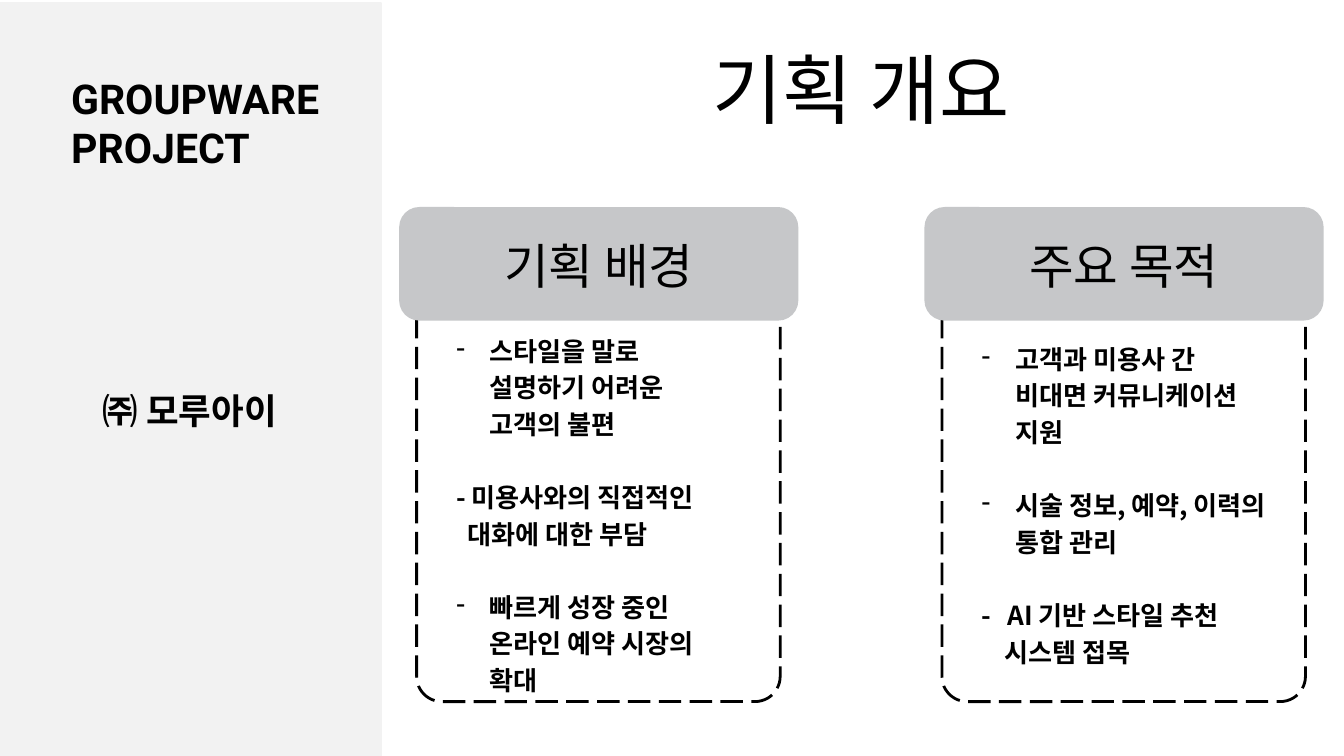
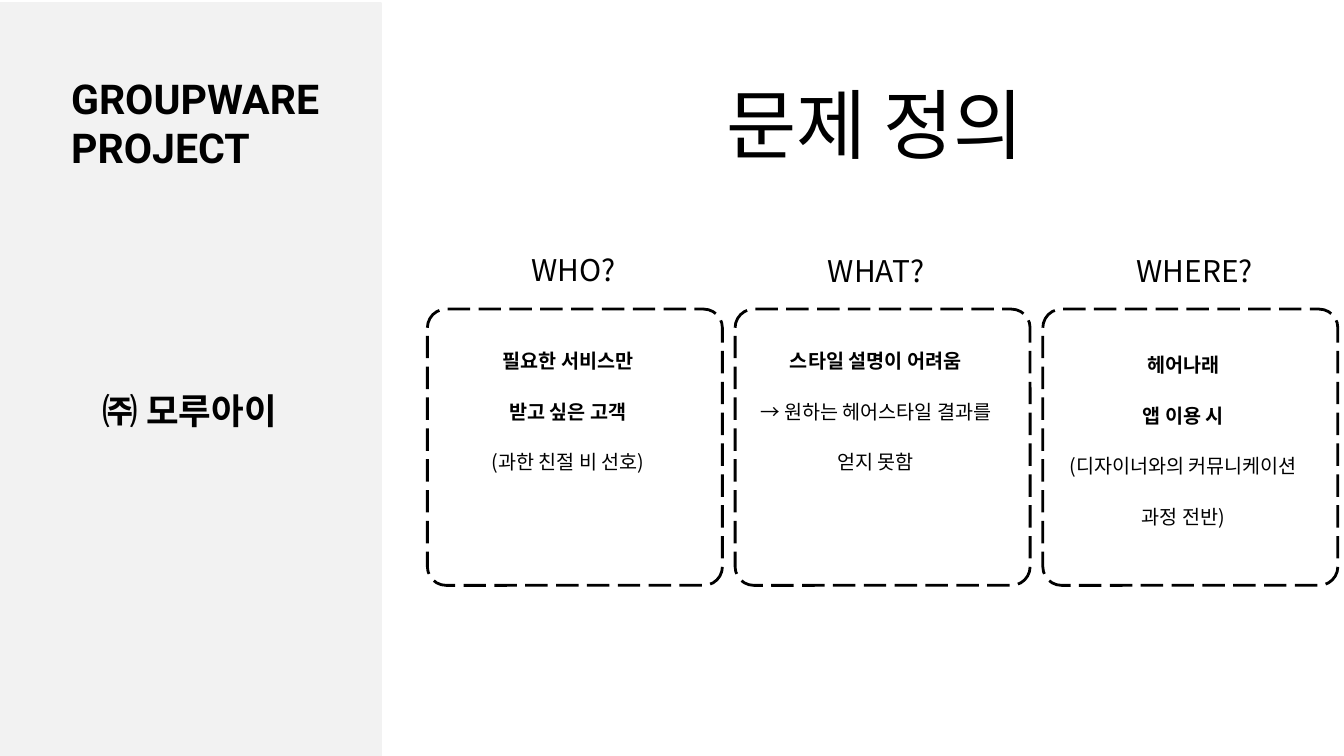
import pptx
import pptx.util
import pptx.dml.color
import pptx.enum.dml
import pptx.enum.shapes
import pptx.enum.text
import pptx.oxml.ns
import lxml.etree

Pt = pptx.util.Pt
Align = pptx.enum.text.PP_ALIGN
Anchor = pptx.enum.text.MSO_ANCHOR
Shape = pptx.enum.shapes.MSO_SHAPE

BLACK, WHITE, PANEL, HEADER = "000000", "FFFFFF", "F2F2F2", "C6C7C9"
BODY_FONT = "Noto Sans CJK KR"


def color(hex_text):
    return pptx.dml.color.RGBColor.from_string(hex_text)


def write(frame, text, size, font=BODY_FONT, bold=False, align=Align.LEFT,
          spacing=None, before=0, margin=0, hang=0, bullet=None):
    """Add one paragraph to a text frame, reusing the first empty one."""
    para = frame.paragraphs[0]
    if para.runs:
        para = frame.add_paragraph()
    para.alignment = align
    if spacing:
        para.line_spacing = spacing
    para.space_before = Pt(before)
    span = para.add_run()
    span.text = text
    span.font.size = Pt(size)
    span.font.bold = bold
    span.font.name = font
    span.font.color.rgb = color(BLACK)
    qn = pptx.oxml.ns.qn
    lxml.etree.SubElement(span.font._element, qn("a:ea")).set("typeface", font)
    properties = para._p.get_or_add_pPr()
    properties.set("marL", str(Pt(margin)))
    properties.set("indent", str(Pt(-hang)))
    if bullet:
        lxml.etree.SubElement(properties, qn("a:buChar")).set("char", bullet)


class Deck:
    """Holds the style and the current slide."""

    def __init__(self):
        self.deck = pptx.Presentation()
        self.deck.slide_width, self.deck.slide_height = Pt(1440), Pt(810)
        self.page = None

    def add_page(self, title, left, top):
        self.page = self.deck.slides.add_slide(self.deck.slide_layouts[6])
        # Side panel with project and company
        self.block(Shape.RECTANGLE, 0, 2.9, 408.2, 807.1, PANEL, line=PANEL, width=2)
        project = self.text_box(69.1, 74.9, 285.1, 104.4, inset=True)
        for word in ("GROUPWARE", "PROJECT"):
            write(project, word, 44, font="Roboto", bold=True, align=Align.JUSTIFY)
        company = self.text_box(103, 381.6, 218.2, 92.2, inset=True)
        company.vertical_anchor = Anchor.MIDDLE
        write(company, "㈜ 모루아이", 38, font="Calibri", bold=True, spacing=1.5)
        # Title
        self.heading(title, left, top, 860.4, 107.3, 81.7, 114.3)

    def block(self, kind, left, top, width_, height, fill, line=None, width=3,
              dashed=False, radius=None):
        shape = self.page.shapes.add_shape(kind, Pt(left), Pt(top), Pt(width_), Pt(height))
        shape.shadow.inherit = False
        shape.fill.solid()
        shape.fill.fore_color.rgb = color(fill)
        if radius:
            shape.adjustments[0] = radius / min(width_, height)
        if line:
            shape.line.color.rgb = color(line)
            shape.line.width = Pt(width)
        else:
            shape.line.fill.background()
        if dashed:
            shape.line.dash_style = pptx.enum.dml.MSO_LINE.LONG_DASH

    def card(self, left, top, width, height, radius):
        self.block(Shape.ROUNDED_RECTANGLE, left, top, width, height, WHITE,
                   line=BLACK, dashed=True, radius=radius)

    def text_box(self, left, top, width, height, inset=False):
        box = self.page.shapes.add_textbox(Pt(left), Pt(top), Pt(width), Pt(height))
        frame = box.text_frame
        frame.word_wrap = True
        if not inset:
            frame.margin_left = frame.margin_right = 0
            frame.margin_top = frame.margin_bottom = 0
            frame.auto_size = pptx.enum.text.MSO_AUTO_SIZE.SHAPE_TO_FIT_TEXT
        return frame

    def heading(self, text, left, top, width, height, size, spacing):
        frame = self.text_box(left, top, width, height)
        write(frame, text, size, align=Align.CENTER, spacing=Pt(spacing))

    def save(self):
        self.deck.save("out.pptx")


def overview(show):
    show.add_page("기획 개요", 492.5, 29.5)
    line = 39.2
    bullet = dict(margin=36, hang=36, bullet="-")
    gap = dict(before=line)
    columns = [
        ("기획 배경", 353.5, 429.8, [
            ("스타일을 말로 설명하기 어려운 고객의 불편", bullet),
            ("- 미용사와의 직접적인", gap),
            ("대화에 대한 부담", dict(margin=12)),
            ("빠르게 성장 중인 온라인 예약 시장의 확대", bullet | gap)]),
        ("주요 목적", 362.2, 350.6, [
            ("고객과 미용사 간 비대면 커뮤니케이션 지원", bullet),
            ("시술 정보, 예약, 이력의 통합 관리", bullet | gap),
            ("-\tAI 기반 스타일 추천", dict(margin=28, hang=28, before=line)),
            ("시스템 접목", dict(margin=25))]),
    ]
    for index, (name, text_top, text_height, points) in enumerate(columns):
        shift = index * 562.8
        show.card(446.4 + shift, 313.9, 389.5, 437.8, radius=27)
        frame = show.text_box(488.9 + shift, text_top, 305.3, text_height)
        for text, layout in points:
            write(frame, text, 28, bold=True, spacing=Pt(line), **layout)
        show.block(Shape.ROUNDED_RECTANGLE, 427.7 + shift, 221.8, 427.7, 121.7,
                   HEADER, radius=21.6)
        show.heading(name, 360 + shift, 242.6, 563, 68.4, 52, 72.8)


def problem(show):
    show.add_page("문제 정의", 507.6, 67)
    # Label, label left and top, text top and height, bold lines, plain lines
    questions = [
        ("WHO?", 462.2, 231.1, 344.2, 154.8,
         ["필요한 서비스만", "받고 싶은 고객"], ["(과한 친절 비 선호)"]),
        ("WHAT?", 786.2, 231.8, 344.2, 157.7,
         ["스타일 설명이 어려움"], ["→ 원하는 헤어스타일 결과를 얻지 못함"]),
        ("WHERE?", 1127.5, 232.6, 348.5, 213.1,
         ["헤어나래", "앱 이용 시"], ["(디자이너와의 커뮤니케이션 과정 전반)"]),
    ]
    for index, question in enumerate(questions):
        label, label_left, label_top, text_top, text_height, strong, plain = question
        shift = index * 329.7
        show.card(457.9 + shift, 331.2, 316.1, 296, radius=20)
        frame = show.text_box(484.6 + shift, text_top, 247.7, text_height)
        for text in strong + plain:
            write(frame, text, 21, bold=text in strong, align=Align.CENTER,
                  spacing=Pt(54.5))
        show.heading(label, label_left, label_top, 305.3, 65.5, 32, 77)


def main():
    show = Deck()
    overview(show)
    problem(show)
    show.save()


if __name__ == "__main__":
    main()
